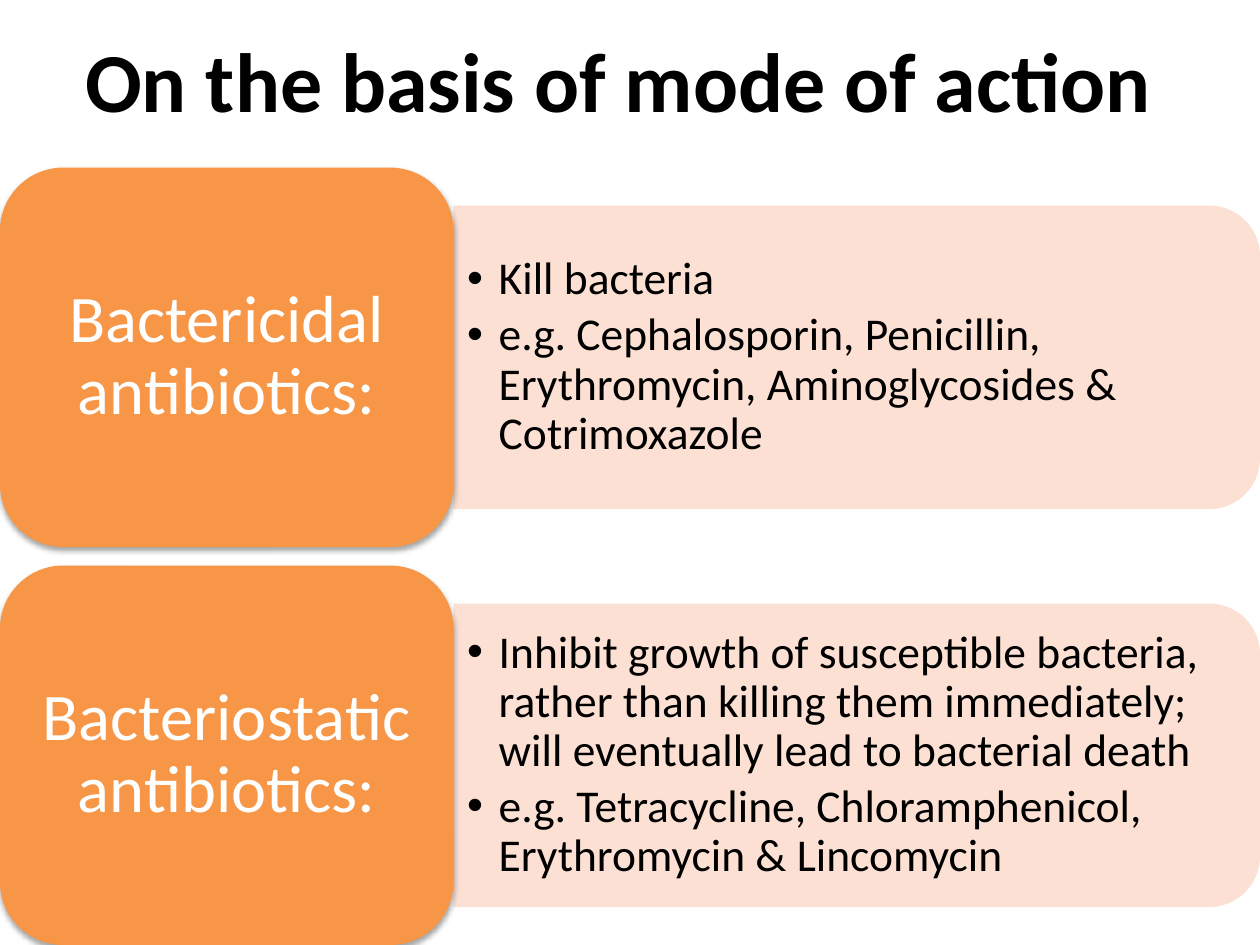
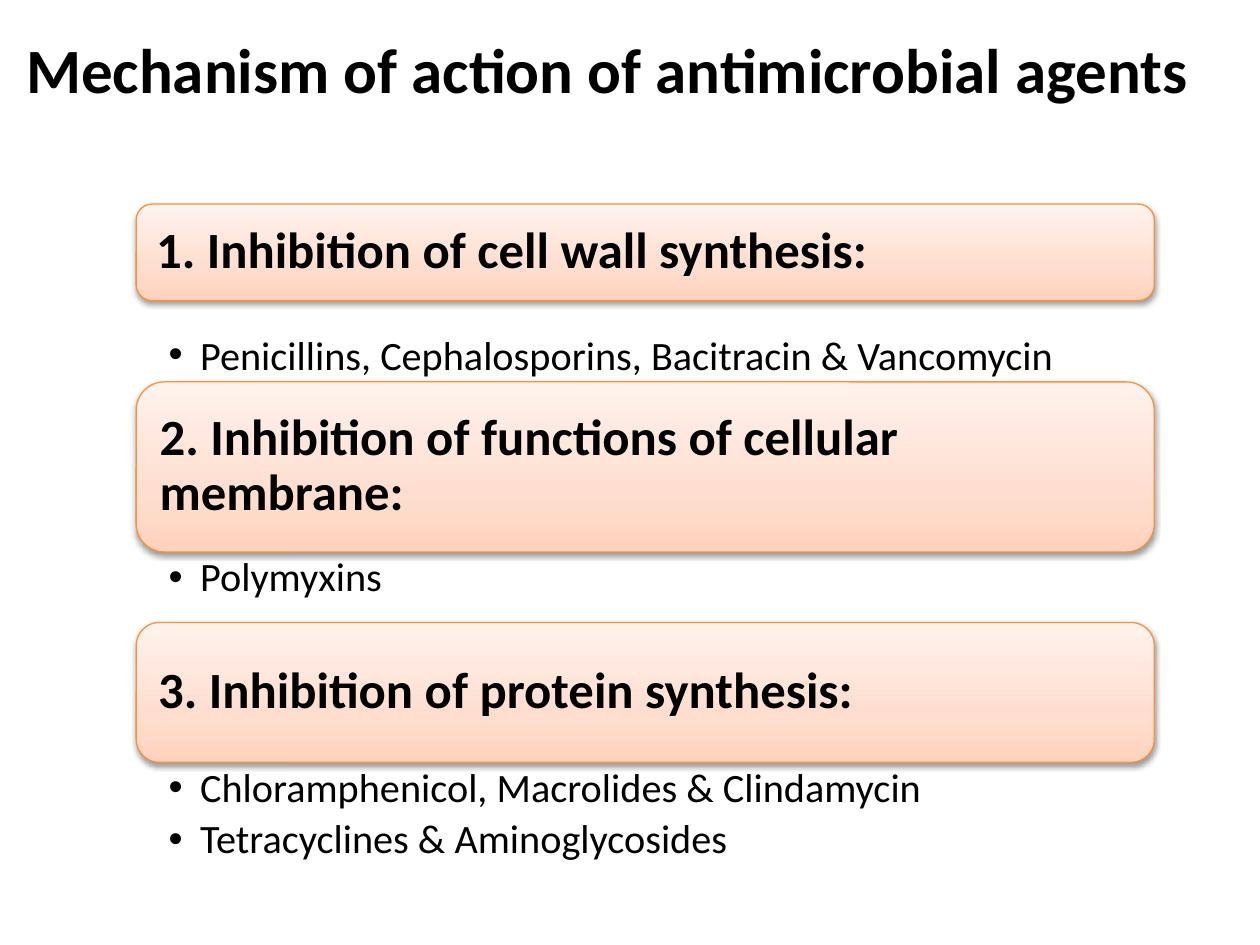
from lxml.etree import SubElement
from pptx import Presentation
from pptx.dml.color import RGBColor
from pptx.enum.shapes import MSO_SHAPE as Preset
from pptx.enum.text import MSO_ANCHOR as Anchor, PP_ALIGN as Align
from pptx.oxml.ns import qn
from pptx.util import Pt

FONT = "Calibri"
BLACK, WHITE = "000000", "FFFFFF"
ORANGE, PEACH, OUTLINE = "F79646", "FCDDCF", "F69240"
HEADING_STOPS = [(0, "FFD2BD"), (35, "FFDED0"), (100, "FFF2ED")]
SLIDE_WIDTH, SLIDE_HEIGHT = 720, 540

LABEL_WIDTH, LABEL_HEIGHT = 259.2, 216.8
PANEL_WIDTH, PANEL_HEIGHT = SLIDE_WIDTH - LABEL_WIDTH, 173.4
FIRST_LABEL_TOP, LABEL_PITCH = 95.8, 227.4
HEADING_LEFT, HEADING_WIDTH, FIRST_HEADING_TOP = 77.8, 581.8, 116.6

ANTIBIOTIC_TYPES = [
    ("Bactericidal antibiotics:", [
        "Kill bacteria",
        "e.g. Cephalosporin, Penicillin, Erythromycin, Aminoglycosides & Cotrimoxazole"]),
    ("Bacteriostatic antibiotics:", [
        "Inhibit growth of susceptible bacteria, rather than killing them immediately; "
        "will eventually lead to bacterial death",
        "e.g. Tetracycline, Chloramphenicol, Erythromycin & Lincomycin"]),
]

# Heading, heading height, bullets, bullet area height, bullet line spacing
MECHANISMS = [
    ("1. Inhibition of cell wall synthesis:", 55.2,
     ["Penicillins, Cephalosporins, Bacitracin & Vancomycin"], 46.4, 1.5),
    ("2. Inhibition of functions of cellular membrane:", 97.2,
     ["Polymyxins"], 40.3, 0.9),
    ("3. Inhibition of protein synthesis:", 79.9,
     ["Chloramphenicol, Macrolides & Clindamycin",
      "Tetracyclines & Aminoglycosides"], 65.5, 0.9),
]


def color(hex_string):
    """Turn a hex string into a colour."""
    return RGBColor.from_string(hex_string)


def write(shape, texts, size, ink=BLACK, bold=False, align=Align.LEFT, anchor=Anchor.MIDDLE,
          margins=(7.2, 3.6), spacing=0.9, after=0.0, bullets=False):
    """Fill a shape with paragraphs; after is a share of the text size."""
    frame = shape.text_frame
    frame.word_wrap = True
    frame.vertical_anchor = anchor
    frame.margin_left = frame.margin_right = Pt(margins[0])
    frame.margin_top = frame.margin_bottom = Pt(margins[1])
    for index, text in enumerate(texts):
        paragraph = frame.add_paragraph() if index else frame.paragraphs[0]
        paragraph.text = text
        paragraph.alignment = align
        paragraph.line_spacing = spacing
        paragraph.space_after = Pt(size * after)
        if bullets:
            add_bullet(paragraph)
        font = paragraph.font
        font.name, font.size, font.bold = FONT, Pt(size), bold
        font.color.rgb = color(ink)


def add_bullet(paragraph):
    """Give a paragraph a hanging round bullet."""
    properties = paragraph._p.get_or_add_pPr()
    properties.set("marL", str(Pt(18)))
    properties.set("indent", str(-Pt(18)))
    SubElement(properties, qn("a:buFont")).set("typeface", "Arial")
    SubElement(properties, qn("a:buChar")).set("char", "•")


def add_text(slide, left, top, width, height, texts, size, **style):
    """Add a text box."""
    box = slide.shapes.add_textbox(Pt(left), Pt(top), Pt(width), Pt(height))
    write(box, texts, size, **style)


def add_title(slide, text, width, height, size):
    """Add the bold centred slide title."""
    add_text(slide, 0, 0, width, height, [text], size, bold=True, align=Align.CENTER, spacing=1.0)


def add_shape(slide, preset, left, top, width, height, fill=None):
    """Add a preset shape without line or shadow."""
    shape = slide.shapes.add_shape(preset, Pt(left), Pt(top), Pt(width), Pt(height))
    shape.shadow.inherit = False
    shape.line.fill.background()
    if fill:
        shape.fill.solid()
        shape.fill.fore_color.rgb = color(fill)
    return shape


def set_alpha(color_element, percent):
    """Set the opacity of a colour element."""
    SubElement(color_element, qn("a:alpha")).set("val", str(percent * 1000))


def add_shadow(shape, distance, opacity):
    """Add a soft black shadow below a shape."""
    effects = shape.element.spPr.find(qn("a:effectLst"))
    shadow = SubElement(effects, qn("a:outerShdw"), blurRad=str(Pt(3.15)),
                        dist=str(Pt(distance)), dir="5400000", rotWithShape="0")
    set_alpha(SubElement(shadow, qn("a:srgbClr"), val=BLACK), opacity)


def set_gradient(shape, stops):
    """Fill a shape with a gradient that runs from bottom to top."""
    shape.fill.gradient()
    shape.fill.gradient_angle = 90
    stop_list = shape.element.spPr.find(qn("a:gradFill")).find(qn("a:gsLst"))
    for stop in list(stop_list):
        stop_list.remove(stop)
    for position, hex_string in stops:
        stop = SubElement(stop_list, qn("a:gs"), pos=str(position * 1000))
        SubElement(stop, qn("a:srgbClr"), val=hex_string)


def add_antibiotic_type(slide, top, label, facts):
    """Add an orange label and the panel of facts to its right."""
    middle = top + LABEL_HEIGHT / 2
    panel = add_shape(slide, Preset.ROUND_2_SAME_RECTANGLE,
                      LABEL_WIDTH + (PANEL_WIDTH - PANEL_HEIGHT) / 2, middle - PANEL_WIDTH / 2,
                      PANEL_HEIGHT, PANEL_WIDTH, PEACH)
    panel.rotation = 90
    set_alpha(panel.element.spPr.find(qn("a:solidFill"))[0], 90)
    add_text(slide, LABEL_WIDTH, middle - 78.1, 452.2, 156.2, facts, 26,
             margins=(7.8, 3.9), after=0.15, bullets=True)
    box = add_shape(slide, Preset.ROUNDED_RECTANGLE, 0, top, LABEL_WIDTH, LABEL_HEIGHT, ORANGE)
    add_shadow(box, 1.8, 35)
    write(box, [label], 38, ink=WHITE, align=Align.CENTER, margins=(11.4, 5.7), after=0.35)


def add_heading(slide, top, height, text):
    """Add a peach heading bar."""
    bar = add_shape(slide, Preset.ROUNDED_RECTANGLE, HEADING_LEFT, top, HEADING_WIDTH, height)
    set_gradient(bar, HEADING_STOPS)
    bar.line.color.rgb = color(OUTLINE)
    bar.line.width = Pt(0.75)
    add_shadow(bar, 1.6, 38)
    write(bar, [text], 29, bold=True, margins=(8.7, 8.7), after=0.35)


def build_mode_slide(slide):
    """Build the slide on bactericidal and bacteriostatic antibiotics."""
    add_title(slide, "On the basis of mode of action", 707, 90, 48)
    for row, (label, facts) in enumerate(ANTIBIOTIC_TYPES):
        add_antibiotic_type(slide, FIRST_LABEL_TOP + row * LABEL_PITCH, label, facts)


def build_mechanism_slide(slide):
    """Build the slide on mechanisms of action."""
    add_title(slide, "Mechanism of action of antimicrobial agents", 694, 77.8, 36)
    top = FIRST_HEADING_TOP
    for heading, heading_height, drugs, drugs_height, spacing in MECHANISMS:
        add_heading(slide, top, heading_height, heading)
        top += heading_height
        add_text(slide, HEADING_LEFT, top, HEADING_WIDTH, drugs_height, drugs, 23,
                 anchor=Anchor.TOP, margins=(18.5, 2.9), spacing=spacing, after=0.2,
                 bullets=True)
        top += drugs_height


def main():
    """Build and save the presentation."""
    presentation = Presentation()
    presentation.slide_width, presentation.slide_height = Pt(SLIDE_WIDTH), Pt(SLIDE_HEIGHT)
    blank = presentation.slide_layouts[6]
    for build in (build_mode_slide, build_mechanism_slide):
        build(presentation.slides.add_slide(blank))
    presentation.save("out.pptx")


if __name__ == "__main__":
    main()
